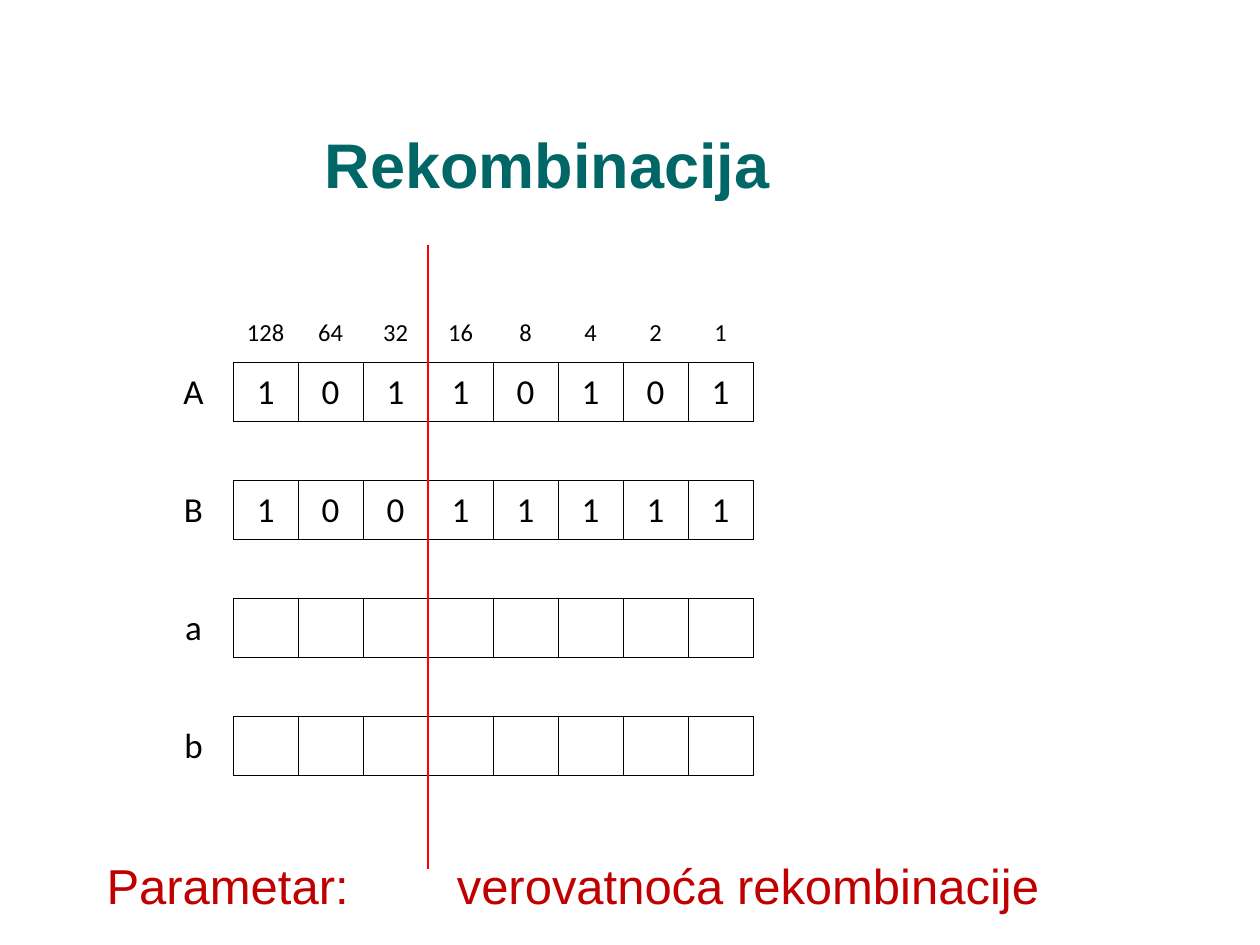
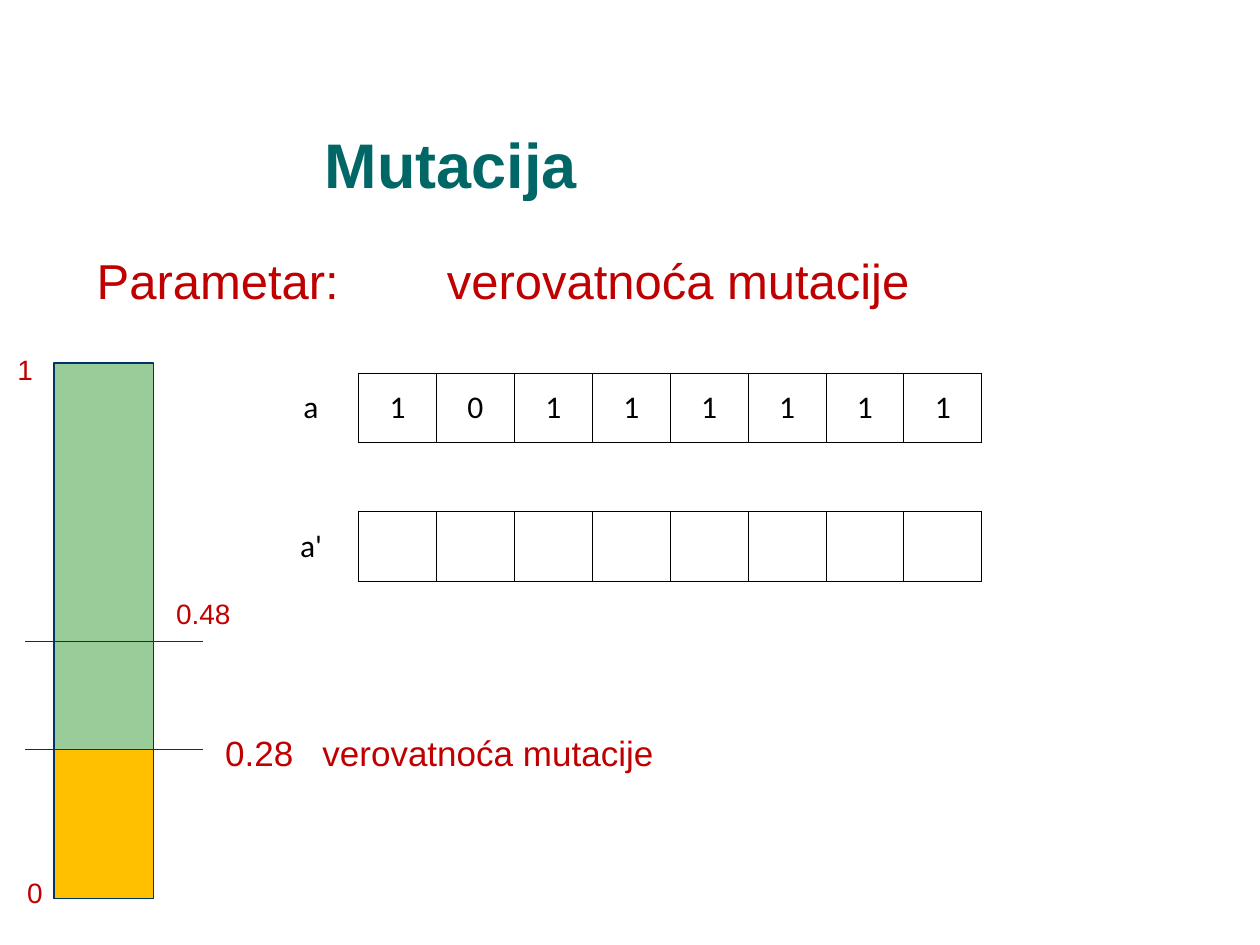
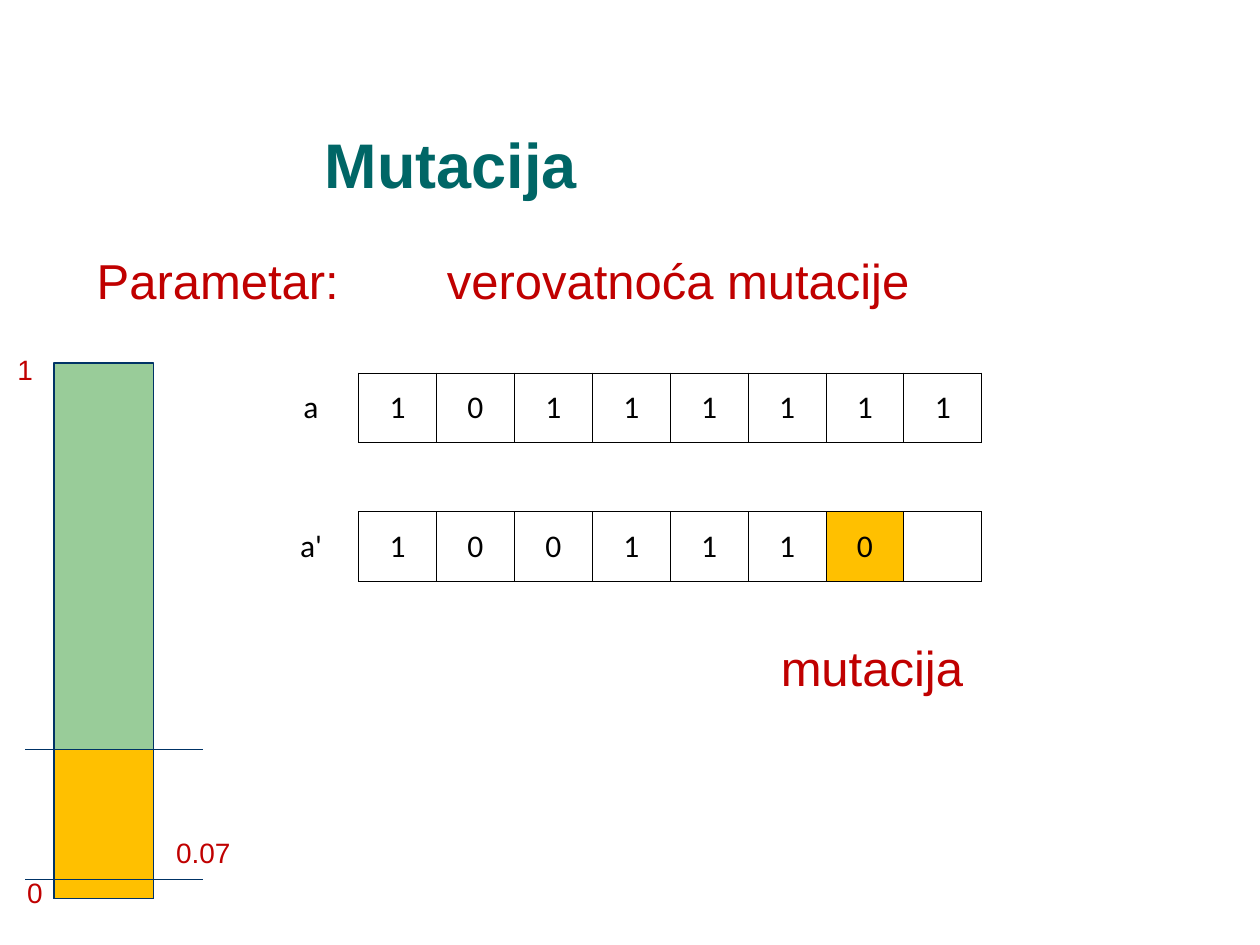
"""Three slides on recombination and mutation of bit strings."""
from lxml.etree import SubElement
from pptx import Presentation
from pptx.dml.color import RGBColor
from pptx.enum.shapes import MSO_CONNECTOR as LINK, MSO_SHAPE as SHAPE
from pptx.enum.text import MSO_ANCHOR as ANCHOR, PP_ALIGN as ALIGN
from pptx.oxml import parse_xml
from pptx.oxml.ns import nsdecls, qn
from pptx.util import Cm, Pt

TEAL = RGBColor(0x00, 0x66, 0x66)
NAVY = RGBColor(0x00, 0x33, 0x66)
GREEN = RGBColor(0x99, 0xCC, 0x99)
GOLD = RGBColor(0xFF, 0xC0, 0x00)
WINE = RGBColor(0xC0, 0x00, 0x00)
RED = RGBColor(0xFF, 0x00, 0x00)
BLACK = RGBColor(0x00, 0x00, 0x00)
NO_STYLE = "{2D5ABB26-0587-4C30-8999-92F81FD0307C}"


def add_text(slide, text, x, y, w, h, size, tab=None):
    """Add a line of wine-red text, with an optional tab stop in cm."""
    frame = slide.shapes.add_textbox(Cm(x), Cm(y), Cm(w), Cm(h)).text_frame
    frame.word_wrap = True
    frame.text = text
    para = frame.paragraphs[0]
    para.space_before = Pt(4)
    font = para.runs[0].font
    font.name, font.size, font.color.rgb = "Arial", Pt(size), WINE
    if tab:
        stops = SubElement(para._p.get_or_add_pPr(), qn("a:tabLst"))
        SubElement(stops, qn("a:tab"), pos=str(Cm(tab)), algn="l")
    return para


def add_line(slide, x1, y1, x2, y2, color, width):
    """Add a straight line without shadow."""
    line = slide.shapes.add_connector(LINK.STRAIGHT, Cm(x1), Cm(y1), Cm(x2), Cm(y2))
    line.line.color.rgb = color
    line.line.width = Pt(width)
    SubElement(line._element.spPr, qn("a:effectLst"))


prs = Presentation()
prs.slide_width, prs.slide_height = Cm(25.4), Cm(19.05)

BLANK = [""] * 9
HEAD = ["", "128", "64", "32", "16", "8", "4", "2", "1"]
GENE = ["a", *"10111111"]
CROSS = [HEAD, ["A", *"10110101"], BLANK, ["B", *"10011111"],
         BLANK, ["a", *BLANK[1:]], BLANK, ["b", *BLANK[1:]]]
BEFORE = [GENE, BLANK, ["a'", *BLANK[1:]]]
AFTER = [GENE, BLANK, ["a'", *"1001110", ""]]

BIG = (3.1, 6.12, 1.6, 1.31, 1.19, 20)
WIDE = (5.31, 7.52, 1.92, 1.57, 1.4, 18)
DECK = [("Rekombinacija", CROSS, BIG, None),
        ("Mutacija", BEFORE, WIDE, None),
        ("Mutacija", AFTER, WIDE, (2, 7))]

slides = []
for title, rows, (left, top, first, col, high, size), hit in DECK:
    slide = prs.slides.add_slide(prs.slide_layouts[6])
    slides.append(slide)
    para = add_text(slide, title, 6.3, 2.74, 18.47, 1.47, 36)
    para.space_before, para.line_spacing = Pt(0), 0.9
    para.runs[0].font.bold = True
    para.runs[0].font.color.rgb = TEAL
    slide.shapes[0].text_frame.vertical_anchor = ANCHOR.BOTTOM

    grid = slide.shapes.add_table(len(rows), 9, Cm(left), Cm(top),
                                  Cm(first + 8 * col), Cm(high * len(rows))).table
    grid.first_row = grid.horz_banding = False
    grid._tbl.tblPr.find(qn("a:tableStyleId")).text = NO_STYLE
    for c, column in enumerate(grid.columns):
        column.width = Cm(col if c else first)
    for r, row in enumerate(rows):
        grid.rows[r].height = Cm(high)
        boxed = row[0] != ""
        for c, text in enumerate(row):
            cell = grid.cell(r, c)
            cell.margin_left = cell.margin_right = 0
            cell.margin_top = cell.margin_bottom = 0
            cell.vertical_anchor = ANCHOR.MIDDLE
            cell.text = text
            para = cell.text_frame.paragraphs[0]
            para.alignment = ALIGN.CENTER
            for run in para.runs:
                run.font.name, run.font.color.rgb = "Calibri", BLACK
                run.font.size = Pt(14 if row is HEAD else size)
            if (r, c) == hit:
                cell.fill.solid()
                cell.fill.fore_color.rgb = GOLD
            else:
                cell.fill.background()
            edges = {"L": c and boxed, "R": boxed, "T": c and (r or boxed), "B": c}
            for i, (side, drawn) in enumerate(edges.items()):
                paint = f'<a:solidFill><a:srgbClr val="{BLACK}"/></a:solidFill>' if drawn else "<a:noFill/>"
                edge = parse_xml(f'<a:ln{side} {nsdecls("a")} w="6350">{paint}</a:ln{side}>')
                cell._tc.get_or_add_tcPr().insert(i, edge)

cross, before, after = slides
add_line(cross, 8.63, 4.93, 8.63, 17.52, RED, 1.5)
add_text(cross, "Parametar:\tverovatnoća rekombinacije", 1.9, 17.12, 19.8, 1.6, 28, 7.06)

BASE, RATE = 18.12, 15.11
for slide, draw, y in [(before, "0.48", 12.93), (after, "0.07", 17.73)]:
    add_text(slide, "Parametar:\tverovatnoća mutacije", 1.7, 4.93, 19.8, 1.6, 28, 7.06)
    for start, color in [(7.32, GREEN), (RATE, GOLD)]:
        bar = slide.shapes.add_shape(SHAPE.RECTANGLE, Cm(1.09), Cm(start), Cm(2), Cm(BASE - start))
        bar.shadow.inherit = False
        bar.fill.solid()
        bar.fill.fore_color.rgb = color
        bar.line.color.rgb = NAVY
        bar.line.width = Pt(0.75)
    add_text(slide, "0", 0.3, 17.53, 1.6, 0.79, 16)
    add_text(slide, "1", 0.1, 6.99, 1.6, 0.79, 16)
    add_text(slide, draw, 3.3, y - 1.02, 2, 0.79, 16)
    for level in (y, RATE):
        add_line(slide, 0.51, level, 4.09, level, NAVY, 0.75)

add_text(before, "0.28\tverovatnoća mutacije", 4.29, 14.63, 16.8, 1.6, 20, 1.96)
add_text(after, "mutacija", 15.49, 12.73, 4.4, 1.6, 28)

prs.save("out.pptx")
